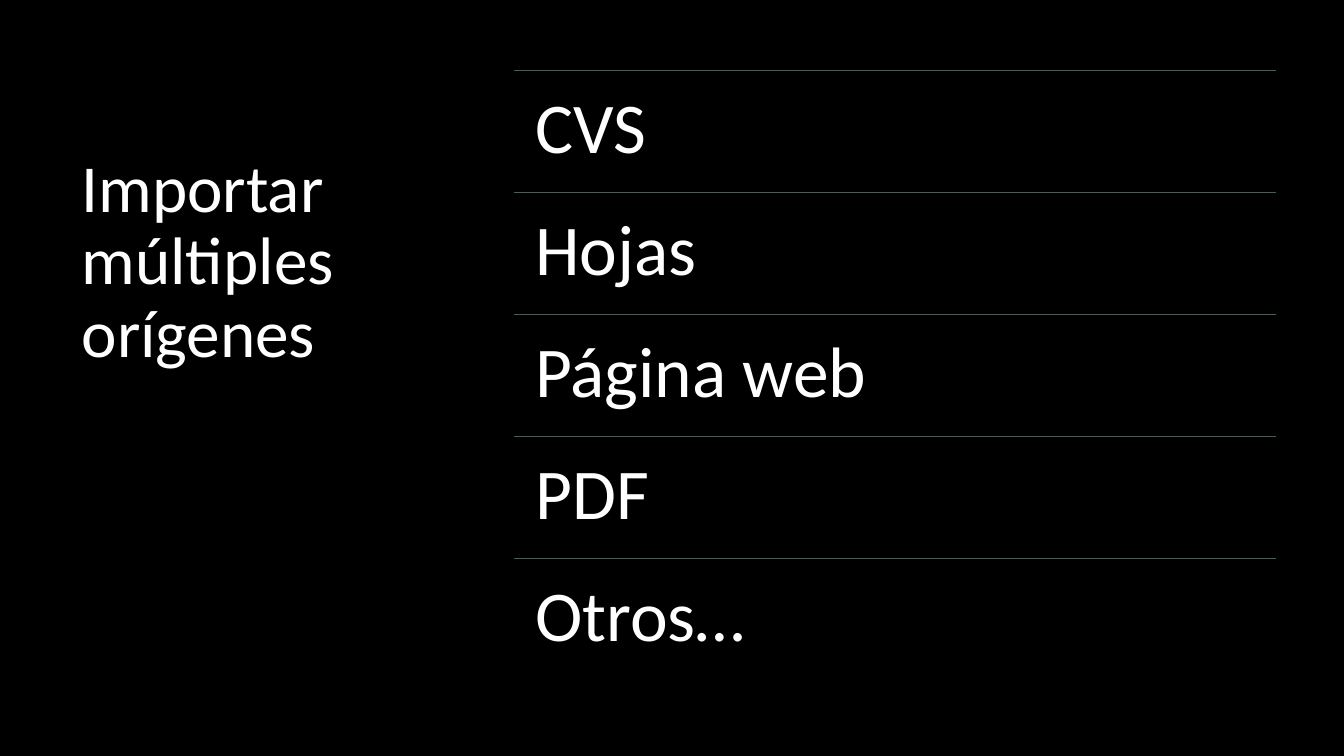
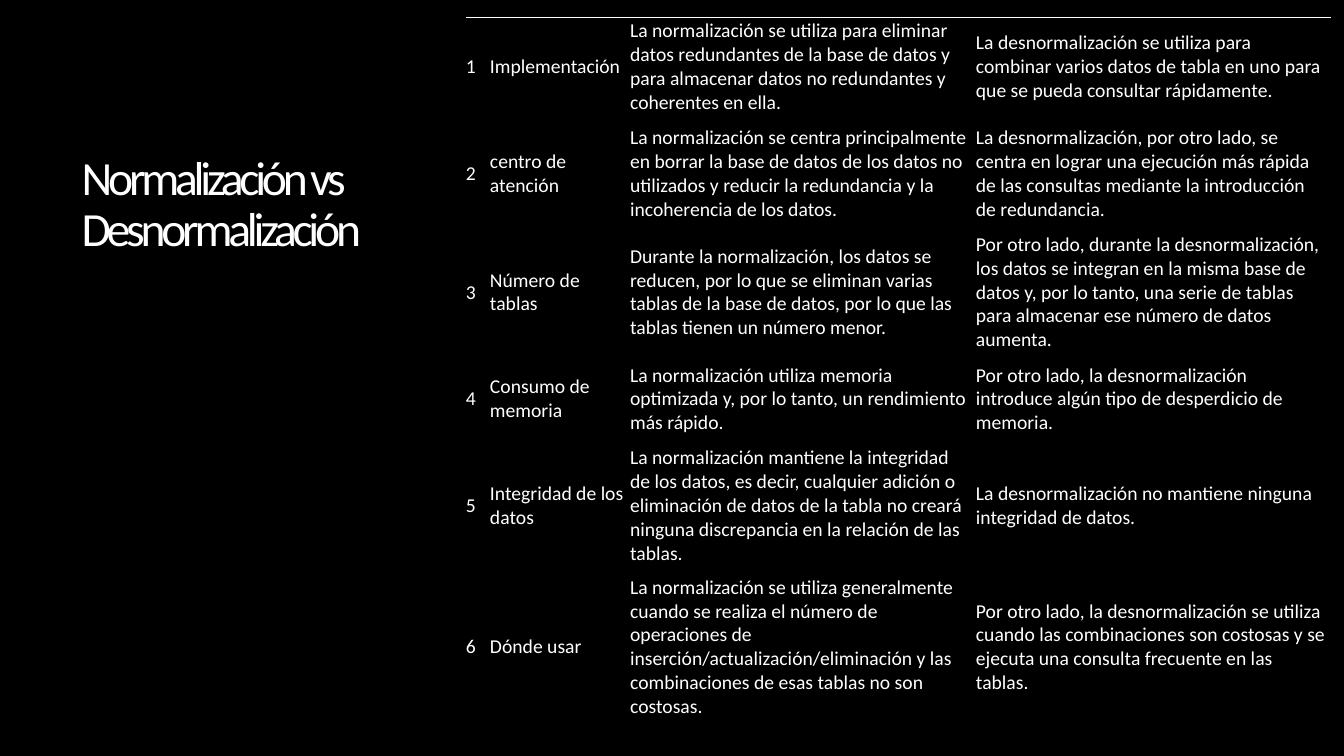
"""Build two dark slides: a list of data sources and a comparison table."""
from lxml import etree
from pptx import Presentation
from pptx.dml.color import RGBColor
from pptx.enum.shapes import MSO_CONNECTOR, MSO_SHAPE
from pptx.enum.text import MSO_ANCHOR, MSO_AUTO_SIZE, PP_ALIGN
from pptx.oxml.ns import qn
from pptx.util import Inches, Pt

STRAIGHT = MSO_CONNECTOR.STRAIGHT
RECTANGLE = MSO_SHAPE.RECTANGLE
TOP, MIDDLE = MSO_ANCHOR.TOP, MSO_ANCHOR.MIDDLE
LEFT = PP_ALIGN.LEFT
TITLE_ONLY = 5
FONT = "Calibri"
COLORS = {"background": "000000", "panel": "000000", "text": "FFFFFF", "rule": "455F51"}
PANELS = [(4.45, 8.88, 20), (0, 4.45, 100)]
PLAIN_TABLE = "{2D5ABB26-0587-4C30-8999-92F81FD0307C}"


def write(tf, text, size, anchor=TOP, line_spacing=1.0, tracking=0):
    """Put one formatted paragraph in a text frame."""
    tf.word_wrap = True
    tf.vertical_anchor = anchor
    p = tf.paragraphs[0]
    p.alignment = LEFT
    p.line_spacing = line_spacing
    r = p.add_run()
    r.text = text
    r.font.name = FONT
    r.font.size = Pt(size)
    r.font.color.rgb = RGBColor.from_string(COLORS["text"])
    if tracking:
        r.font._element.set("spc", str(tracking * 100))


def add_titled_slide(prs, text, size, tracking=0):
    """Add a slide with its two panels and its title in the left column."""
    s = prs.slides.add_slide(prs.slide_layouts[TITLE_ONLY])
    title = s.shapes.title
    for left, width, opacity in PANELS:
        panel = s.shapes.add_shape(RECTANGLE, Inches(left), 0, Inches(width), prs.slide_height)
        panel.shadow.inherit = False
        panel.line.fill.background()
        panel.fill.solid()
        panel.fill.fore_color.rgb = RGBColor.from_string(COLORS["panel"])
        color = panel._element.spPr.find(qn("a:solidFill"))[0]
        etree.SubElement(color, qn("a:alpha"), val=str(opacity * 1000))
    s.shapes._spTree.append(title._element)
    title.left, title.top = Inches(0.71), Inches(1.48)
    title.width, title.height = Inches(3.21), Inches(4.87)
    title.text_frame.auto_size = MSO_AUTO_SIZE.NONE
    write(title.text_frame, text, size, line_spacing=0.9, tracking=tracking)
    return s


prs = Presentation()
prs.slide_width, prs.slide_height = Inches(13.33), Inches(7.5)
background = prs.slide_master.background.fill
background.solid()
background.fore_color.rgb = RGBColor.from_string(COLORS["background"])

s = add_titled_slide(prs, "Importar múltiples orígenes", 48)
sources = ["CVS", "Hojas", "Página web", "PDF", "Otros…"]
left, top, width, step = 5.1, 0.7, 7.56, 1.21
for i, source in enumerate(sources):
    y = Inches(top + i * step)
    rule = s.shapes.add_connector(STRAIGHT, Inches(left), y, Inches(left + width), y)
    rule.line.color.rgb = RGBColor.from_string(COLORS["rule"])
    rule.line.width = Pt(0.5)
    etree.SubElement(rule._element.spPr, qn("a:effectLst"))
    tf = s.shapes.add_textbox(Inches(left), y, Inches(width), Inches(step)).text_frame
    tf.margin_left = tf.margin_top = tf.margin_right = tf.margin_bottom = Inches(0.21)
    write(tf, source, 51, line_spacing=0.9)

s = add_titled_slide(prs, "Normalización vs Desnormalización", 34, tracking=-3)
comparison = [
    ("Implementación",
     "La normalización se utiliza para eliminar datos redundantes de la base de datos "
     "y para almacenar datos no redundantes y coherentes en ella.",
     "La desnormalización se utiliza para combinar varios datos de tabla en uno para "
     "que se pueda consultar rápidamente."),
    ("centro de atención",
     "La normalización se centra principalmente en borrar la base de datos de los datos "
     "no utilizados y reducir la redundancia y la incoherencia de los datos.",
     "La desnormalización, por otro lado, se centra en lograr una ejecución más rápida "
     "de las consultas mediante la introducción de redundancia."),
    ("Número de tablas",
     "Durante la normalización, los datos se reducen, por lo que se eliminan varias "
     "tablas de la base de datos, por lo que las tablas tienen un número menor.",
     "Por otro lado, durante la desnormalización, los datos se integran en la misma base "
     "de datos y, por lo tanto, una serie de tablas para almacenar ese número de datos "
     "aumenta."),
    ("Consumo de memoria",
     "La normalización utiliza memoria optimizada y, por lo tanto, un rendimiento más "
     "rápido.",
     "Por otro lado, la desnormalización introduce algún tipo de desperdicio de memoria."),
    ("Integridad de los datos",
     "La normalización mantiene la integridad de los datos, es decir, cualquier adición "
     "o eliminación de datos de la tabla no creará ninguna discrepancia en la relación "
     "de las tablas.",
     "La desnormalización no mantiene ninguna integridad de datos."),
    ("Dónde usar",
     "La normalización se utiliza generalmente cuando se realiza el número de operaciones "
     "de inserción/actualización/eliminación y las combinaciones de esas tablas no son "
     "costosas.",
     "Por otro lado, la desnormalización se utiliza cuando las combinaciones son costosas "
     "y se ejecuta una consulta frecuente en las tablas."),
]
col_widths = [0.24, 1.39, 3.43, 3.52]
row_heights = [1.06, 1.06, 1.29, 0.83, 1.29, 1.51]
frame = s.shapes.add_table(len(row_heights), len(col_widths), Inches(4.62), Inches(0.17),
                           Inches(sum(col_widths)), Inches(sum(row_heights)))
table = frame.table
table.first_row = table.horz_banding = False
table._tbl.tblPr.find(qn("a:tableStyleId")).text = PLAIN_TABLE
for column, col_width in zip(table.columns, col_widths):
    column.width = Inches(col_width)
for i, (row, row_height, texts) in enumerate(zip(table.rows, row_heights, comparison)):
    row.height = Inches(row_height)
    for cell, text in zip(row.cells, (str(i + 1), *texts)):
        cell.margin_left, cell.margin_top = 0, Inches(0.01)
        cell.margin_right, cell.margin_bottom = Inches(0.03), Inches(0.08)
        cell.vertical_anchor = MIDDLE
        write(cell.text_frame, text, 14, anchor=None)
        if i == 0:
            border = etree.SubElement(cell._tc.get_or_add_tcPr(), qn("a:lnT"), w=str(Pt(0.5)))
            fill = etree.SubElement(border, qn("a:solidFill"))
            etree.SubElement(fill, qn("a:srgbClr"), val=COLORS["text"])
        cell.fill.background()

prs.save("out.pptx")
